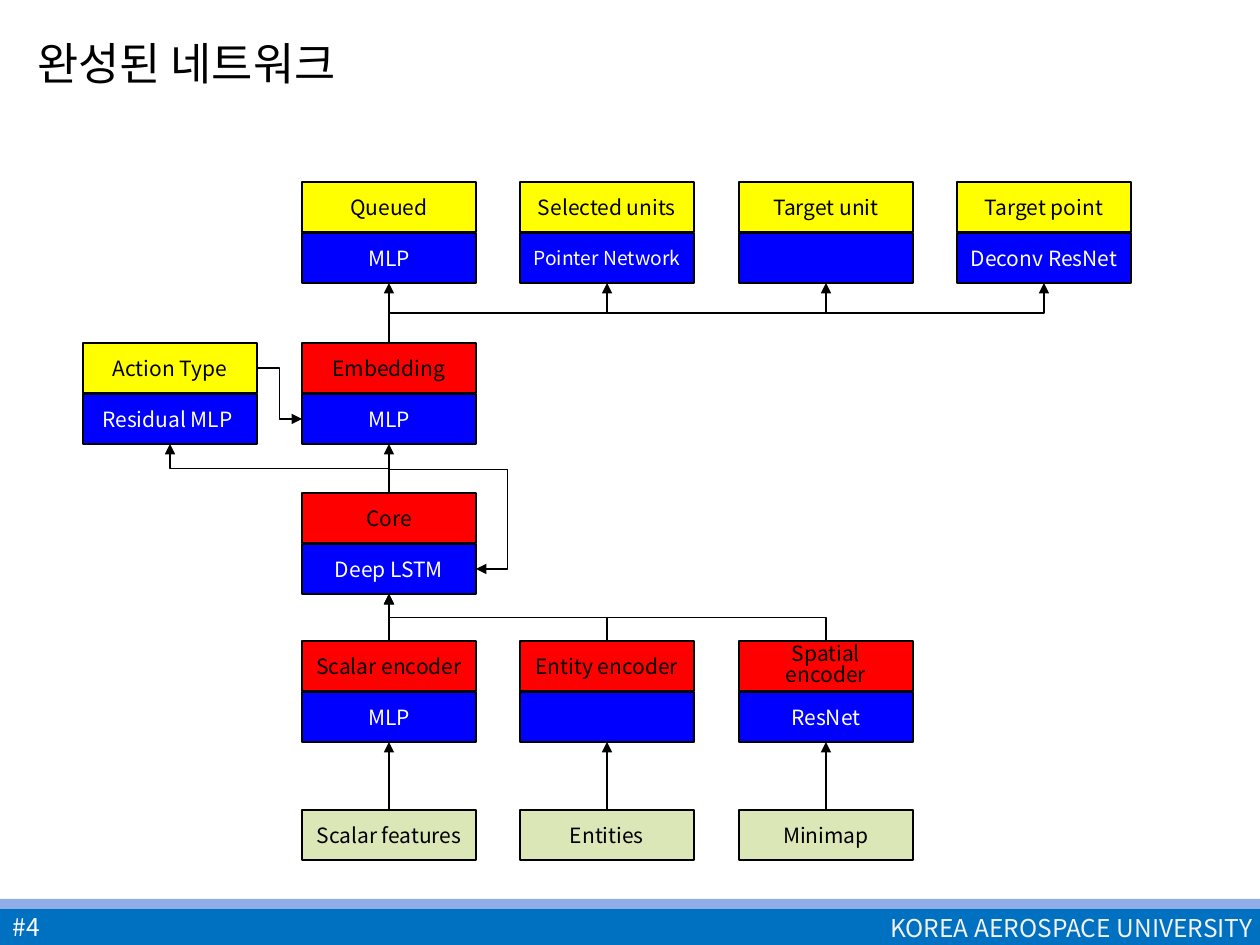
from lxml.etree import SubElement
from pptx import Presentation
from pptx.dml.color import RGBColor
from pptx.enum.shapes import MSO_CONNECTOR as CONNECTOR, MSO_SHAPE as SHAPE
from pptx.enum.text import MSO_ANCHOR as ANCHOR, PP_ALIGN as ALIGN
from pptx.oxml.ns import qn
from pptx.util import Emu, Pt

PX = 914400 // 126
FONT = "Noto Sans CJK KR"
YELLOW, RED, BLUE, GREEN = "FFFF00", "FF0000", "0000FF", "DBE7B6"
BLACK, WHITE = "000000", "FFFFFF"

COLUMNS = [83, 302, 520, 739, 957]
BOX_WIDTH, BOX_HEIGHT, BODY_STEP = 174, 50, 51
TOP, RIGHT, BOTTOM, LEFT = 0, 3, 2, 1

# fmt: off
ROWS = [
    (343, YELLOW, [(0, "Action Type", "Residual MLP ")]),
    (343, RED, [(1, "Embedding", "MLP")]),
    (182, YELLOW, [(1, "Queued", "MLP"), (2, "Selected units", "Pointer Network"),
                   (3, "Target unit", ""), (4, "Target point", "Deconv ResNet")]),
    (493, RED, [(1, "Core", "Deep LSTM")]),
    (641, RED, [(1, "Scalar encoder", "MLP"), (2, "Entity encoder", ""),
                (3, "Spatial encoder", "ResNet")]),
    (810, GREEN, [(1, "Scalar features", None), (2, "Entities", None), (3, "Minimap", None)]),
]
TEXT_FORMATS = {"Pointer Network": {"size": 11}, "Spatial encoder": {"spacing": 0.8}}

STRAIGHT_LINKS = [
    ("Scalar features", "Scalar encoder"), ("Entities", "Entity encoder"),
    ("Minimap", "Spatial encoder"), ("Scalar encoder", "Core"),
    ("Core", "Embedding"), ("Embedding", "Queued"),
]
BENT_LINKS = [
    ("Entity encoder", "Core"), ("Spatial encoder", "Core"), ("Core", "Action Type"),
    ("Embedding", "Selected units"), ("Embedding", "Target unit"), ("Embedding", "Target point"),
]
# fmt: on
BANDS = [((0, 909, 1260, 36), "0070C0"), ((0, 899, 1260, 10), "8FADE9")]
LABELS = [
    ("KOREA AEROSPACE UNIVERSITY", (878, 906, 398, 43), {"size": 14, "color": "F2F2F2"}),
    ("완성된 네트워크", (25, 11, 1220, 95), {"size": 32, "small_caps": True}),
    ("#4", (0, 909, 273, 36), {"size": 14, "color": WHITE}),
]


def rgb(value):
    return RGBColor.from_string(value)


def px(*values):
    return [Emu(round(value * PX)) for value in values]


def write(shape, text, size=12, color=BLACK, align=ALIGN.LEFT, spacing=None, small_caps=False):
    frame = shape.text_frame
    frame.word_wrap = True
    frame.vertical_anchor = ANCHOR.MIDDLE
    paragraph = frame.paragraphs[0]
    paragraph.alignment = align
    if spacing:
        paragraph.line_spacing = spacing
    run = paragraph.add_run()
    run.text = text
    run.font.size = Pt(size)
    run.font.name = FONT
    run.font.color.rgb = rgb(color)
    properties = run._r.get_or_add_rPr()
    SubElement(properties, qn("a:ea")).set("typeface", FONT)
    if small_caps:
        properties.set("cap", "small")


def add_box(slide, area, fill, kind=SHAPE.RECTANGLE, outline=None):
    shape = slide.shapes.add_shape(kind, *px(*area))
    shape.shadow.inherit = False
    shape.fill.solid()
    shape.fill.fore_color.rgb = rgb(fill)
    if outline:
        shape.line.color.rgb = rgb(outline)
        shape.line.width = Pt(1.5)
    else:
        shape.line.fill.background()
    return shape


def add_process(slide, area, fill, text, color):
    shape = add_box(slide, area, fill, SHAPE.FLOWCHART_PROCESS, BLACK)
    if text:
        write(shape, text, color=color, align=ALIGN.CENTER, **TEXT_FORMATS.get(text, {}))
    return shape


def side(shape, site):
    across = {LEFT: 0, RIGHT: shape.width}.get(site, shape.width // 2)
    down = {TOP: 0, BOTTOM: shape.height}.get(site, shape.height // 2)
    return shape.left + across, shape.top + down


def add_arrow(slide, kind, start, end):
    connector = slide.shapes.add_connector(kind, *start, *end)
    connector.line.color.rgb = rgb(BLACK)
    connector.line.width = Pt(0.75)
    SubElement(connector.line._get_or_add_ln(), qn("a:tailEnd")).set("type", "triangle")
    SubElement(connector._element.spPr, qn("a:effectLst"))
    return connector


def add_vertical_elbow(slide, start, end):
    """Add an elbow that leaves its start vertically, as a box turned by 270 degrees."""
    (x1, y1), (x2, y2) = start, end
    connector = add_arrow(slide, CONNECTOR.ELBOW, start, end)
    width, height = abs(y2 - y1), abs(x2 - x1)
    connector.left, connector.top = (x1 + x2 - width) // 2, (y1 + y2 - height) // 2
    connector.width, connector.height = width, height
    transform = connector._element.spPr.find(qn("a:xfrm"))
    transform.set("rot", "16200000")
    transform.set("flipH", str(int(y2 > y1)))
    transform.set("flipV", str(int(x2 < x1)))
    return connector


def add_loop(slide, start, end):
    connector = add_vertical_elbow(slide, start, end)
    geometry = connector._element.spPr.find(qn("a:prstGeom"))
    geometry.set("prst", "bentConnector4")
    guides = geometry.find(qn("a:avLst"))
    if guides is None:
        guides = SubElement(geometry, qn("a:avLst"))
    for name, value in (("adj1", -31300), ("adj2", 136300)):
        guide = SubElement(guides, qn("a:gd"))
        guide.set("name", name)
        guide.set("fmla", f"val {value}")


def main():
    presentation = Presentation()
    presentation.slide_width, presentation.slide_height = px(1260, 945)
    slide = presentation.slides.add_slide(presentation.slide_layouts[6])

    for area, fill in BANDS:
        add_box(slide, area, fill)
    for text, area, text_format in LABELS:
        write(slide.shapes.add_textbox(*px(*area)), text, **text_format)

    heads, bodies = {}, {}
    for top, fill, nodes in ROWS:
        for column, name, method in nodes:
            area = (COLUMNS[column], top, BOX_WIDTH, BOX_HEIGHT)
            heads[name] = add_process(slide, area, fill, name, BLACK)
            if method is not None:
                area = (COLUMNS[column], top + BODY_STEP, BOX_WIDTH, BOX_HEIGHT)
                bodies[name] = add_process(slide, area, BLUE, method, WHITE)

    for source, target in STRAIGHT_LINKS:
        start, end = side(heads[source], TOP), side(bodies[target], BOTTOM)
        connector = add_arrow(slide, CONNECTOR.STRAIGHT, start, end)
        connector.begin_connect(heads[source], TOP)
        connector.end_connect(bodies[target], BOTTOM)
    for source, target in BENT_LINKS:
        add_vertical_elbow(slide, side(heads[source], TOP), side(bodies[target], BOTTOM))
    add_loop(slide, side(heads["Core"], TOP), side(bodies["Core"], RIGHT))
    start, end = side(heads["Action Type"], RIGHT), side(bodies["Embedding"], LEFT)
    add_arrow(slide, CONNECTOR.ELBOW, start, end)

    presentation.save("out.pptx")


if __name__ == "__main__":
    main()
